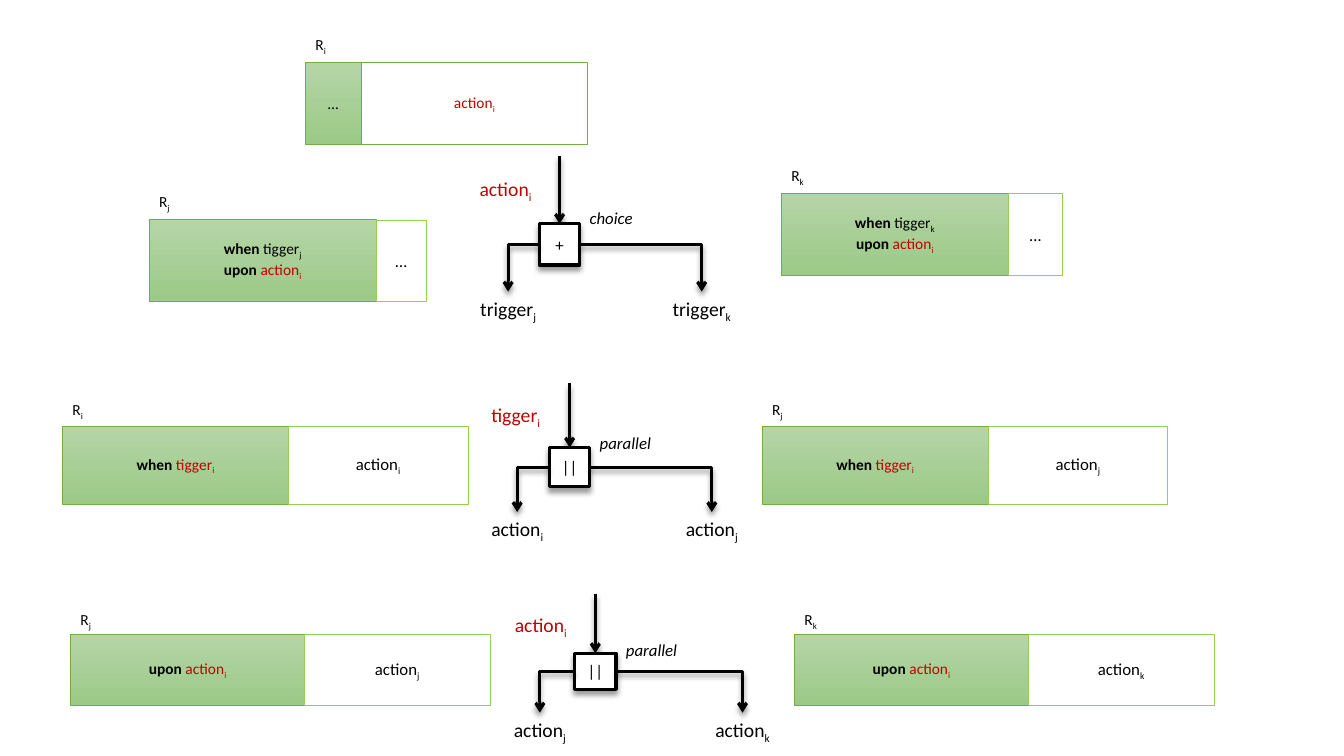
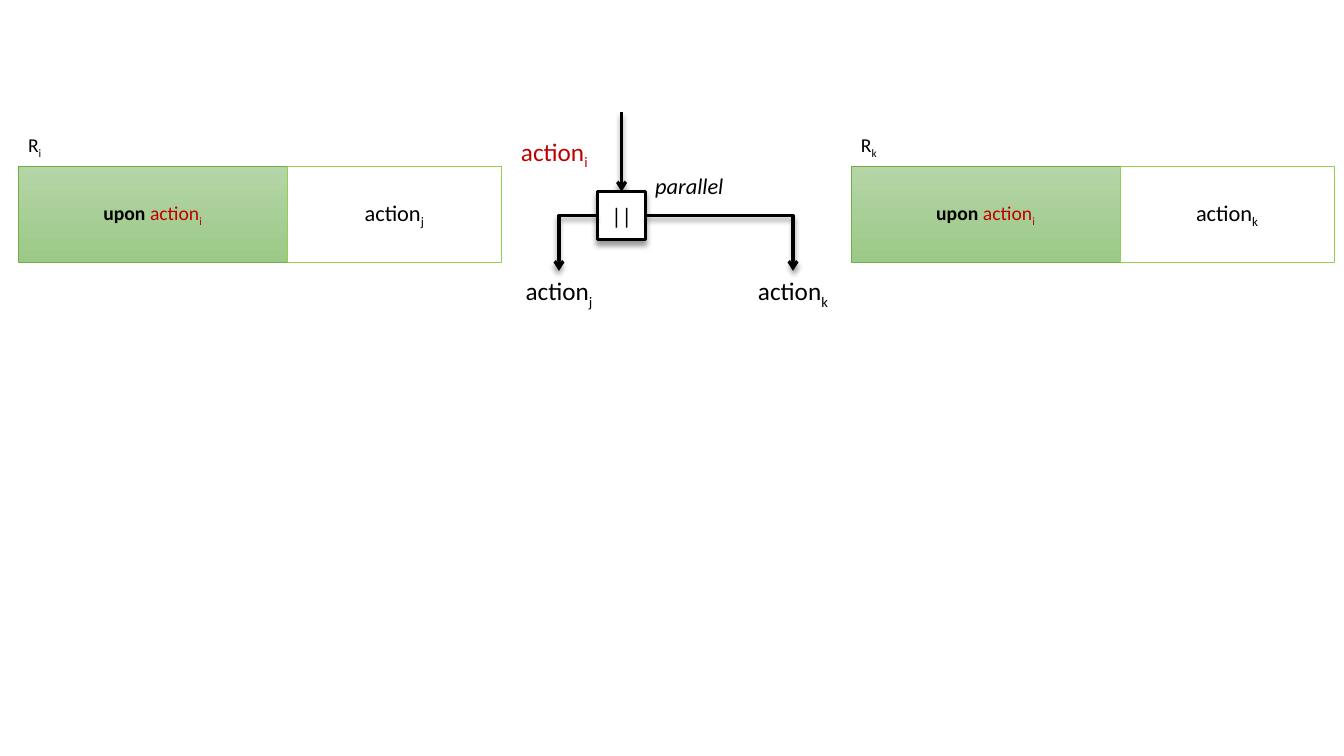
from lxml import etree
from pptx import Presentation
from pptx import util as u
from pptx.dml import color as dml
from pptx.enum import shapes as kinds, text
from pptx.oxml import ns

FONT = "Calibri"
BLACK, WHITE, RED = "000000", "FFFFFF", "C00000"
GREEN, LIME = "70AD47", "92D050"
GRADIENT = ("B5D5A7", "9CC987")
CENTER, LEFT = text.PP_ALIGN.CENTER, text.PP_ALIGN.LEFT
TOP, LEFT_SIDE, RIGHT_SIDE = 0, 1, 3  # connection sites of a rectangle
SMALL = {"rule": 11, "action": 12, "label": 14}
LARGE = {"rule": 14, "action": 16, "label": 18}


def rgb(value):
    """Turn a hex string into a colour."""
    return dml.RGBColor.from_string(value)


def term(word, index, color=BLACK):
    """Return the runs of a word with a subscript index."""
    return [(word, {"color": color}), (index, {"color": color, "subscript": True})]


def clause(keyword, word, index, color=RED):
    """Return the runs of a bold keyword followed by an indexed word."""
    return [(keyword + " ", {"bold": True})] + term(word, index, color)


def add_run(paragraph, content, size=12, color=BLACK, bold=False, italic=False,
            subscript=False):
    """Add formatted text to a paragraph."""
    run = paragraph.add_run()
    run.text = content
    font = run.font
    font.name, font.size, font.bold, font.italic = FONT, u.Pt(size), bold, italic
    font.color.rgb = rgb(color)
    if subscript:
        run._r.get_or_add_rPr().set("baseline", "-25000")


def write(shape, lines, size, align=CENTER):
    """Fill a shape with lines, each a list of runs."""
    frame = shape.text_frame
    for number, runs in enumerate(lines):
        paragraph = frame.add_paragraph() if number else frame.paragraphs[0]
        paragraph.alignment = align
        for content, style in runs:
            add_run(paragraph, content, size=size, **style)


def add_label(slide, left, top, width, runs, size, align=CENTER):
    """Add a one-line text box as high as its text."""
    height = 0.1 + size * 1.2 / 72
    label = slide.shapes.add_textbox(*map(u.Inches, (left, top, width, height)))
    label.text_frame.word_wrap = True
    write(label, [runs], size, align)
    return label


def add_box(slide, bounds, lines, size, line, weight, fill=None):
    """Add a rectangle with centred text; two fill colours make a gradient."""
    box = slide.shapes.add_shape(kinds.MSO_SHAPE.RECTANGLE, *map(u.Inches, bounds))
    box.shadow.inherit = False
    if fill is None:
        box.fill.background()
    elif isinstance(fill, str):
        box.fill.solid()
        box.fill.fore_color.rgb = rgb(fill)
    else:
        box.fill.gradient()
        box.fill.gradient_angle = 270
        for stop, value in zip(box.fill.gradient_stops, fill):
            stop.color.rgb = rgb(value)
    box.line.color.rgb = rgb(line)
    box.line.width = u.Pt(weight)
    box.text_frame.vertical_anchor = text.MSO_ANCHOR.MIDDLE
    box.text_frame.word_wrap = True
    write(box, lines, size)
    return box


def add_shadow(shape):
    """Give a shape or connector a soft shadow below it."""
    properties = shape._element.spPr
    effects = properties.find(ns.qn("a:effectLst"))
    if effects is None:
        effects = etree.SubElement(properties, ns.qn("a:effectLst"))
    shadow = etree.SubElement(effects, ns.qn("a:outerShdw"), blurRad=str(u.Pt(4)),
                              dist=str(u.Pt(3)), dir="5400000", rotWithShape="0")
    tint = etree.SubElement(shadow, ns.qn("a:srgbClr"), val=BLACK)
    etree.SubElement(tint, ns.qn("a:alpha"), val="40000")


def add_arrow(slide, kind, start, end):
    """Add a black arrow with a shadow between two points."""
    arrow = slide.shapes.add_connector(kind, *map(u.Inches, start + end))
    arrow.line.color.rgb = rgb(BLACK)
    arrow.line.width = u.Pt(2.25)
    etree.SubElement(arrow.line._get_or_add_ln(), ns.qn("a:tailEnd"), type="arrow")
    add_shadow(arrow)
    return arrow


def add_rule(slide, index, bounds, action_width, condition, action, sizes,
             action_size=None, line=LIME, weight=0.25):
    """Add a rule: its name, a green condition box and an open action box."""
    left, top, width, height = bounds
    add_box(slide, bounds, condition, sizes["rule"], GREEN, 0.5, GRADIENT)
    add_box(slide, (left + width, top, action_width, height), [action],
            action_size or sizes["action"], line, weight)
    add_label(slide, left, top - 0.4 * height, 0.5, term("R", index),
              sizes["rule"], LEFT)


def add_operator(slide, bounds, symbol, word, incoming, outgoing, reaches, sizes):
    """Add an operator box with one arrow in and two labelled arrows out."""
    left, top, width, height = bounds
    center, reach = left + width / 2, 1.64 * height
    size = sizes["label"]
    label_width = 0.07 * size
    stem = add_arrow(slide, kinds.MSO_CONNECTOR.STRAIGHT, (center, top - reach),
                     (center, top))
    box = add_box(slide, bounds, [[(symbol, {})]], sizes["action"], BLACK, 2.25, WHITE)
    add_shadow(box)
    stem.end_connect(box, TOP)
    add_label(slide, left + width, top - height / 2, 1, [(word, {"italic": True})],
              sizes["action"], LEFT)
    add_label(slide, left - 0.024 * size - label_width / 2, top - 1.25 * height,
              label_width, incoming, size)
    for runs, offset, site in zip(outgoing, reaches, (LEFT_SIDE, RIGHT_SIDE)):
        target = center + offset
        label = add_label(slide, target - label_width / 2, top + reach, label_width,
                          runs, size)
        edge = left if site == LEFT_SIDE else left + width
        branch = add_arrow(slide, kinds.MSO_CONNECTOR.ELBOW,
                           (edge, top + height / 2), (target, top + reach))
        branch._element.spPr.find(ns.qn("a:prstGeom")).set("prst", "bentConnector2")
        branch.begin_connect(box, site)
        branch.end_connect(label, TOP)


def add_choice(slide):
    """Add the row in which one action leads to a choice of triggers."""
    dots = [("…", {})]
    add_rule(slide, "i", (3.03, 0.62, 0.55, 0.81), 2.25, [dots],
             term("action", "i", RED), SMALL, SMALL["rule"], GREEN, 0.5)
    for index, left, top, width in (("j", 1.48, 2.18, 0.5), ("k", 7.75, 1.92, 0.54)):
        condition = [clause("when", "tigger", index, BLACK),
                     clause("upon", "action", "i")]
        add_rule(slide, index, (left, top, 2.25, 0.81), width, condition, dots, SMALL)
    add_operator(slide, (5.35, 2.22, 0.4, 0.41), "+", "choice",
                 term("action", "i", RED),
                 [term("trigger", index) for index in "jk"], (-0.51, 1.41), SMALL)


def add_parallel(slide, keyword, word, names, actions, lefts, rule_size, action_width,
                 rule_top, operator, reaches, sizes):
    """Add a row with two rules that run in parallel around an operator."""
    for name, action, left in zip(names, actions, lefts):
        add_rule(slide, name, (left, rule_top) + rule_size, action_width,
                 [clause(keyword, word, "i")], term("action", action), sizes)
    add_operator(slide, operator, "||", "parallel", term(word, "i", RED),
                 [term("action", action) for action in actions], reaches, sizes)


def main():
    """Build both slides and save them."""
    presentation = Presentation()
    presentation.slide_width = u.Inches(13.33)
    presentation.slide_height = u.Inches(7.5)
    blank = presentation.slide_layouts[6]

    overview = presentation.slides.add_slide(blank)
    add_choice(overview)
    add_parallel(overview, "when", "tigger", "ij", "ij", (0.62, 7.56), (2.24, 0.77),
                 1.78, 4.23, (5.45, 4.44, 0.4, 0.39), (-0.52, 1.41), SMALL)
    add_parallel(overview, "upon", "action", "jk", "jk", (0.7, 7.88), (2.32, 0.71),
                 1.84, 6.29, (5.7, 6.48, 0.41, 0.36), (-0.55, 1.46), SMALL)

    detail = presentation.slides.add_slide(blank)
    add_parallel(detail, "upon", "action", "ik", "jk", (0.18, 8.44), (2.67, 0.95),
                 2.12, 1.65, (5.93, 1.9, 0.47, 0.48), (-0.62, 1.7), LARGE)
    presentation.save("out.pptx")


main()
